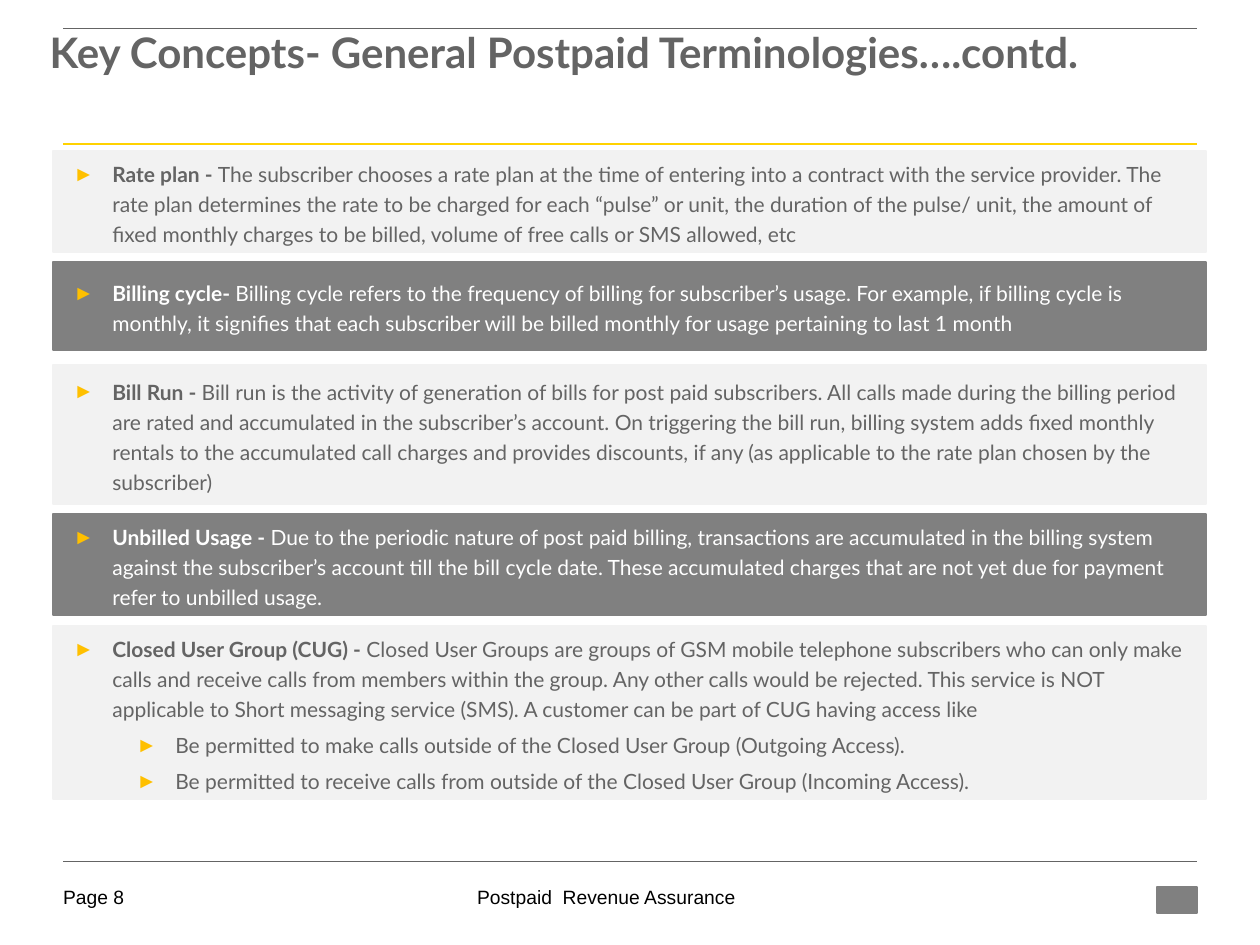
from lxml import etree
from pptx import Presentation
from pptx import util as u
from pptx.dml.color import RGBColor
from pptx.enum import shapes, text
from pptx.oxml.ns import qn

GREY, PALE, DARK, WHITE, GOLD = "646464", "F2F2F2", "808080", "FFFFFF", "FFC000"
TITLE = "Key Concepts- General Postpaid Terminologies….contd."
TERMS = [
    (151, 101, "Rate plan - ", "The subscriber chooses a rate plan at the time of entering into a contract with the service provider. The rate plan determines the rate to be charged for each “pulse” or unit, the duration of the pulse/ unit, the amount of fixed monthly charges to be billed, volume of free calls or SMS allowed, etc", []),
    (262, 88, "Billing cycle- ", "Billing cycle refers to the frequency of billing for subscriber’s usage. For example, if billing cycle is monthly, it signifies that each subscriber will be billed monthly for usage pertaining to last 1 month", []),
    (365, 139, "Bill Run - ", "Bill run is the activity of generation of bills for post paid subscribers. All calls made during the billing period are rated and accumulated in the subscriber’s account. On triggering the bill run, billing system adds fixed monthly rentals to the accumulated call charges and provides discounts, if any (as applicable to the rate plan chosen by the subscriber)", []),
    (514, 101, "Unbilled Usage - ", "Due to the periodic nature of post paid billing, transactions are accumulated in the billing system against the subscriber’s account till the bill cycle date. These accumulated charges that are not yet due for payment refer to unbilled usage.", []),
    (626, 173, "Closed User Group (CUG) - ", "Closed User Groups are groups of GSM mobile telephone subscribers who can only make calls and receive calls from members within the group. Any other calls would be rejected. This service is NOT applicable to Short messaging service (SMS). A customer can be part of CUG having access like",
     ["Be permitted to make calls outside of the Closed User Group (Outgoing Access).",
      "Be permitted to receive calls from outside of the Closed User Group (Incoming Access)."]),
]
RULES = [(28, GREY, 0.5), (144, "FFD200", 1.5), (861, GREY, 0.25)]
FOOTS = [(347, 519, "Postpaid  Revenue Assurance", text.PP_ALIGN.CENTER),
         (63, 92, "Page 8", text.PP_ALIGN.LEFT)]
LEFT, WIDE = 53, 1153


def px(n):
    return u.Emu(round(n * 914400 / 126))


def rgb(code):
    return RGBColor.from_string(code)


def put(obj, **form):
    for key, val in form.items():
        setattr(obj, key, val)


def style(font, name, size, color, bold=False):
    put(font, name=name, size=u.Pt(size), bold=bold)
    font.color.rgb = rgb(color)


def bullet(para, left):
    prop = para._p.get_or_add_pPr()
    prop.set("marL", str(px(left)))
    prop.set("indent", str(-px(39)))
    tint = etree.SubElement(prop, qn("a:buClr"))
    etree.SubElement(tint, qn("a:srgbClr"), val=GOLD)
    etree.SubElement(prop, qn("a:buFont"), typeface="Arial")
    etree.SubElement(prop, qn("a:buChar"), char="►")


def block(slide, left, top, wide, high, color):
    box = slide.shapes.add_shape(shapes.MSO_SHAPE.RECTANGLE, *map(px, (left, top, wide, high)))
    box.shadow.inherit = False
    box.fill.solid()
    box.fill.fore_color.rgb = rgb(color)
    box.line.color.rgb = rgb(color)
    box.line.width = u.Pt(1)
    return box


def term(slide, row, top, high, name, body, subs):
    fill, ink = [(PALE, GREY), (DARK, WHITE)][row % 2]
    frame = block(slide, LEFT, top, WIDE, high, fill).text_frame
    put(frame, word_wrap=True, vertical_anchor=text.MSO_ANCHOR.MIDDLE)
    para = frame.paragraphs[0]
    put(para, alignment=text.PP_ALIGN.LEFT, line_spacing=1.2)
    bullet(para, 47)
    for words, bold in ((name, True), (body, False)):
        run = para.add_run()
        run.text = words
        style(run.font, "Lato", 12, ink, bold)
    for words in subs:
        para = frame.add_paragraph()
        put(para, text=words, level=1, alignment=text.PP_ALIGN.LEFT, space_before=u.Pt(6))
        bullet(para, 110)
        style(para.runs[0].font, "Lato", 12, ink)


def main():
    deck = Presentation()
    put(deck, slide_width=px(1260), slide_height=px(945))
    slide = deck.slides.add_slide(deck.slide_layouts[5])

    for left, wide, words, align in FOOTS:
        frame = slide.shapes.add_textbox(*map(px, (left, 885, wide, 28))).text_frame
        put(frame, word_wrap=True, margin_left=0, margin_right=0, margin_top=0, margin_bottom=0)
        para = frame.paragraphs[0]
        put(para, text=words, alignment=align)
        style(para.runs[0].font, "Arial", 11, "000000")

    for y, color, width in RULES:
        rule = slide.shapes.add_connector(shapes.MSO_CONNECTOR.STRAIGHT, *map(px, (63, y, 1197, y)))
        rule.line.color.rgb = rgb(color)
        rule.line.width = u.Pt(width)
        etree.SubElement(rule._element.spPr, qn("a:effectLst"))

    block(slide, 1157, 887, 40, 26, DARK)

    title = slide.shapes.title
    put(title, left=px(37), top=px(28), width=px(1197), height=px(118))
    put(title.text_frame, text=TITLE, word_wrap=True, auto_size=text.MSO_AUTO_SIZE.NONE,
        vertical_anchor=text.MSO_ANCHOR.TOP)
    para = title.text_frame.paragraphs[0]
    put(para, alignment=text.PP_ALIGN.LEFT, line_spacing=0.85)
    style(para.runs[0].font, "Lato", 24, GREY, True)

    for row, item in enumerate(TERMS):
        term(slide, row, *item)

    deck.save("out.pptx")


if __name__ == "__main__":
    main()
